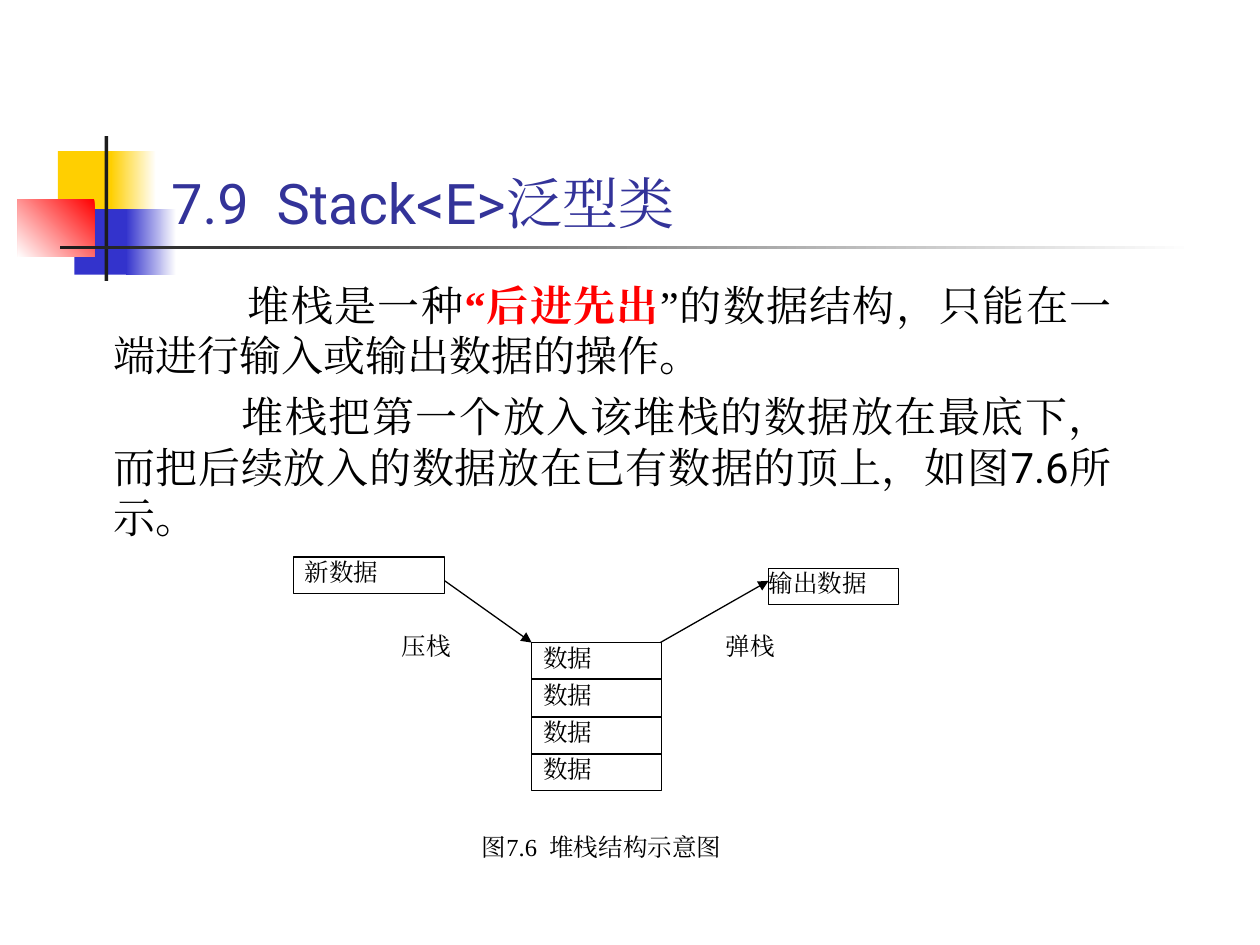
from dataclasses import dataclass
from typing import Optional

from lxml import etree
from pptx import Presentation
from pptx.dml.color import RGBColor
from pptx.enum import shapes, text
from pptx.oxml import ns
from pptx.util import Inches, Pt

BLACK = RGBColor(0, 0, 0)
WHITE = RGBColor(255, 255, 255)
RED = RGBColor(255, 0, 0)
GOLD = RGBColor(0xFF, 0xCF, 0x01)
BLUE = RGBColor(0x33, 0x33, 0xCC)
NAVY = RGBColor(0x33, 0x33, 0x99)
DARK = RGBColor(0x1C, 0x1C, 0x1C)
SERIF, SANS = "Times New Roman", "Roboto"
ALIGN = text.PP_ALIGN


@dataclass
class Area:
    left: float
    top: float
    width: float
    height: float

    def lengths(self) -> list:
        return [Inches(v) for v in (self.left, self.top, self.width, self.height)]


@dataclass
class Block:
    """A decoration; with a fade colour it runs from hue to fade."""
    area: Area
    hue: RGBColor
    fade: Optional[RGBColor] = None
    angle: int = 180


@dataclass
class Label:
    words: str
    area: Area
    inset: float = 0
    edge: bool = True
    align: ALIGN = ALIGN.LEFT


@dataclass
class Piece:
    words: str
    size: int
    face: str = SERIF
    hue: RGBColor = BLACK
    bold: bool = False


@dataclass
class Arrow:
    start: tuple
    end: tuple


def add_rect(slide, area: Area):
    rect = slide.shapes.add_shape(shapes.MSO_SHAPE.RECTANGLE, *area.lengths())
    rect.shadow.inherit = False
    rect.line.fill.background()
    return rect


def add_block(slide, block: Block) -> None:
    fill = add_rect(slide, block.area).fill
    if block.fade is None:
        fill.solid()
        fill.fore_color.rgb = block.hue
        return
    fill.gradient()
    fill.gradient_angle = block.angle
    for stop, hue in zip(fill.gradient_stops, (block.hue, block.fade)):
        stop.color.rgb = hue


def add_piece(para, piece: Piece) -> None:
    run = para.add_run()
    run.text = piece.words
    look = {"size": Pt(piece.size), "name": piece.face, "bold": piece.bold}
    for key, value in look.items():
        setattr(run.font, key, value)
    run.font.color.rgb = piece.hue
    east = etree.SubElement(run.font._element, ns.qn("a:ea"))
    east.set("typeface", piece.face)


def set_frame(frame, sides: tuple, anchor) -> None:
    look = dict(zip(("margin_left", "margin_top", "margin_right", "margin_bottom"),
                    map(Inches, sides)))
    look |= {"word_wrap": True, "vertical_anchor": anchor}
    for key, value in look.items():
        setattr(frame, key, value)


def add_label(slide, label: Label) -> None:
    rect = add_rect(slide, label.area)
    rect.fill.solid()
    rect.fill.fore_color.rgb = WHITE
    if label.edge:
        rect.line.color.rgb = BLACK
        rect.line.width = Pt(0.75)
    set_frame(rect.text_frame, (label.inset, 0, 0, 0), text.MSO_ANCHOR.TOP)
    para = rect.text_frame.paragraphs[0]
    para.alignment = label.align
    add_piece(para, Piece(label.words, 14))


def add_text(slide, area: Area, anchor):
    frame = slide.shapes.add_textbox(*area.lengths()).text_frame
    set_frame(frame, (0.1, 0.05, 0.1, 0.05), anchor)
    return frame


def add_arrow(slide, arrow: Arrow) -> None:
    ends = [Inches(v) for v in arrow.start + arrow.end]
    link = slide.shapes.add_connector(shapes.MSO_CONNECTOR.STRAIGHT, *ends)
    link.line.color.rgb = BLACK
    link.line.width = Pt(0.75)
    head = etree.SubElement(link.line._get_or_add_ln(), ns.qn("a:tailEnd"))
    head.set("type", "triangle")
    etree.SubElement(link._element.spPr, ns.qn("a:effectLst"))


BLOCKS = [
    Block(Area(0.46, 1.2, 0.48, 0.52), GOLD),
    Block(Area(0.88, 1.2, 0.36, 0.52), WHITE, GOLD),
    Block(Area(0.59, 1.66, 0.46, 0.52), BLUE),
    Block(Area(1, 1.66, 0.4, 0.52), WHITE, BLUE),
    Block(Area(0.14, 1.58, 0.61, 0.46), RED, WHITE, 225),
    Block(Area(0.83, 1.08, 0.03, 1.15), DARK),
    Block(Area(0.48, 1.95, 9, 0.03), WHITE, DARK),
]
TITLE = [Piece("7.9  Stack<E>", 32, SANS, NAVY), Piece("泛型类", 32, SERIF, NAVY)]
# Each paragraph: first-line indent, then its pieces.
BODY = [
    (1.07, [Piece("堆栈是一种", 24),
            Piece("“后进先出", 24, hue=RED, bold=True),
            Piece("”的数据结构，只能在一端进行输入或输出数据的操作。", 24)]),
    (1.02, [Piece("堆栈把第一个放入该堆栈的数据放在最底下，"
                  "而把后续放入的数据放在已有数据的顶上，如图", 24),
            Piece("7.6", 24, SANS),
            Piece("所示。", 24)]),
]
CELL_W, CELL_H, STEP = 1.03, 0.29, 0.295
STACK = [Label("数据", Area(4.22, 5.1 + i * STEP, CELL_W, CELL_H), 0.09)
         for i in range(4)]
LABELS = STACK + [
    Label("新数据", Area(2.33, 4.42, 1.2, CELL_H), 0.09),
    Label("输出数据", Area(6.1, 4.51, CELL_W, CELL_H)),
    Label("压栈", Area(3.19, 5.01, 0.68, CELL_H), edge=False),
    Label("弹栈", Area(5.76, 5.01, 0.68, CELL_H), edge=False),
    Label("图7.6  堆栈结构示意图", Area(3.32, 6.6, 2.91, CELL_H),
          edge=False, align=ALIGN.CENTER),
]
ARROWS = [Arrow((3.53, 4.61), (4.22, 5.1)), Arrow((5.24, 5.1), (6.1, 4.61))]


def main() -> None:
    deck = Presentation()
    deck.slide_width, deck.slide_height = Inches(10), Inches(7.5)
    slide = deck.slides.add_slide(deck.slide_layouts[6])

    for block in BLOCKS:
        add_block(slide, block)

    title = add_text(slide, Area(1.26, 0.67, 8.52, 1.25), text.MSO_ANCHOR.BOTTOM)
    for piece in TITLE:
        add_piece(title.paragraphs[0], piece)

    body = add_text(slide, Area(0.42, 2.17, 8.5, 4.5), text.MSO_ANCHOR.TOP)
    for i, (indent, pieces) in enumerate(BODY):
        para = body.add_paragraph() if i else body.paragraphs[0]
        para.alignment = ALIGN.JUSTIFY
        para.space_before = Pt(6 if i else 0)
        props = para._p.get_or_add_pPr()
        props.set("marL", str(Inches(0.38)))
        props.set("indent", str(Inches(indent)))
        for piece in pieces:
            add_piece(para, piece)

    for label in LABELS:
        add_label(slide, label)
    for arrow in ARROWS:
        add_arrow(slide, arrow)
    deck.save("out.pptx")


if __name__ == "__main__":
    main()
